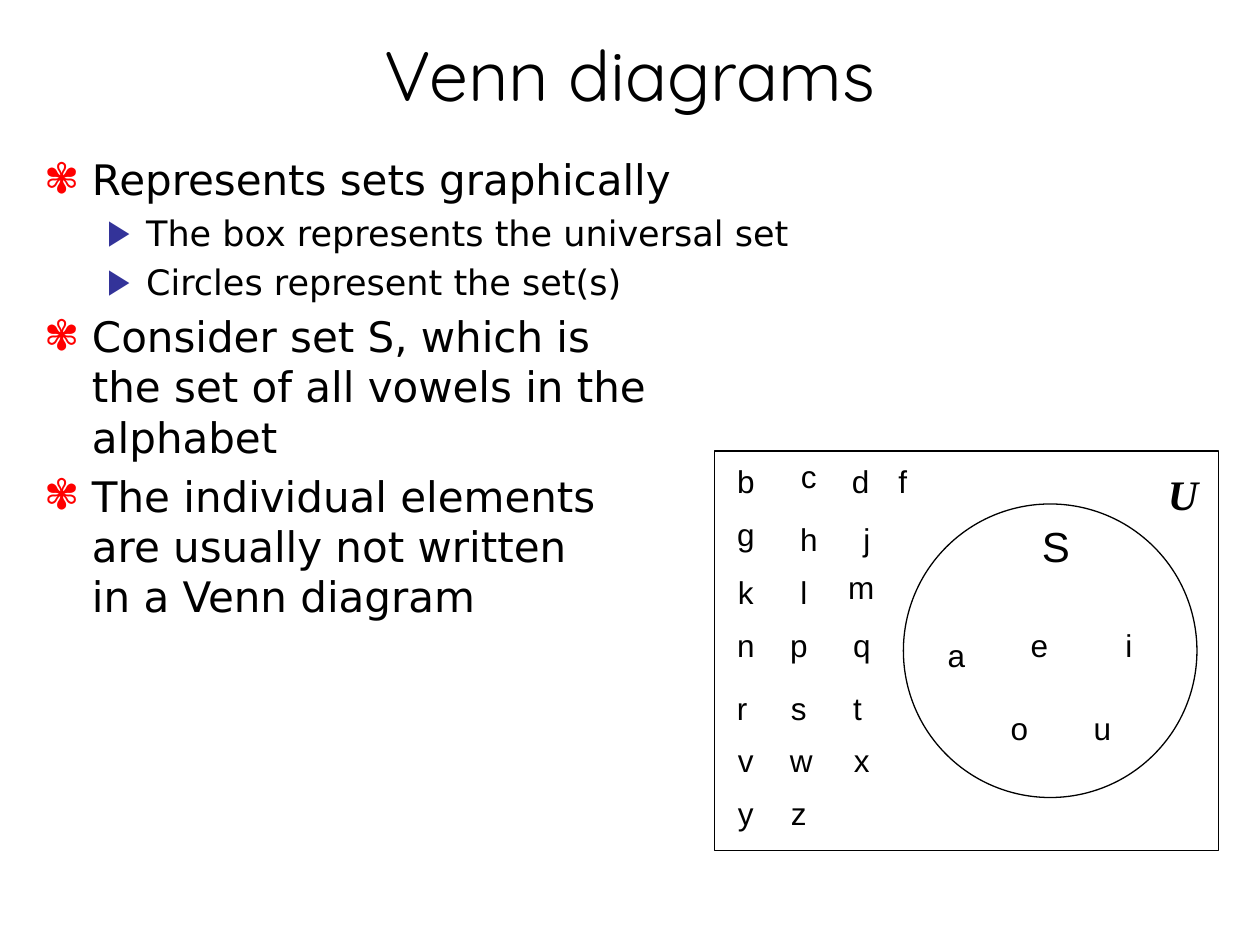
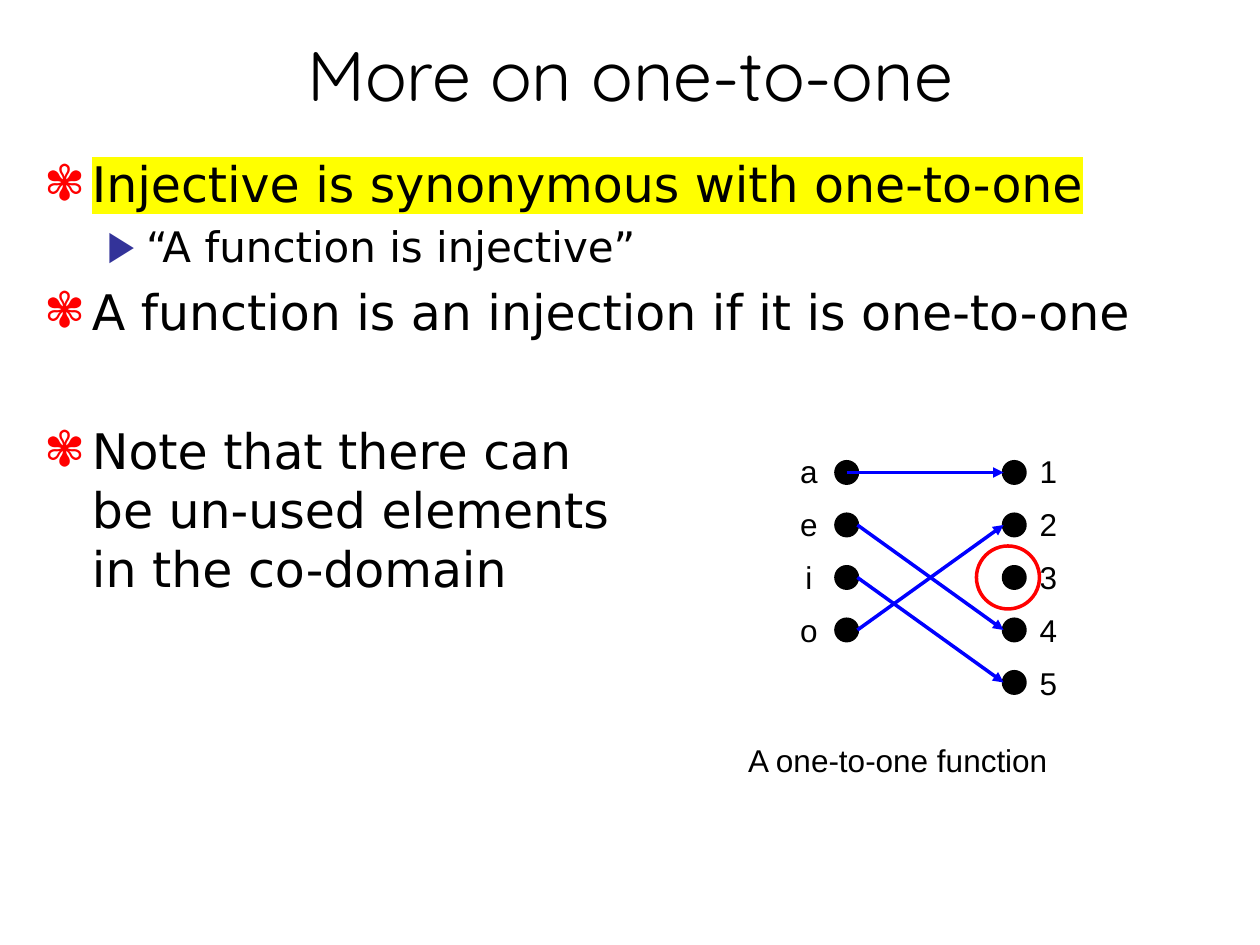
from lxml import etree
from pptx import Presentation
from pptx.dml.color import RGBColor
from pptx.enum.shapes import MSO_CONNECTOR, MSO_SHAPE
from pptx.enum.text import MSO_ANCHOR, MSO_AUTO_SIZE, PP_ALIGN
from pptx.oxml.ns import qn
from pptx.util import Inches, Pt

CENTER, LEFT = PP_ALIGN.CENTER, PP_ALIGN.LEFT
TOP, MIDDLE = MSO_ANCHOR.TOP, MSO_ANCHOR.MIDDLE
NO_FIT = MSO_AUTO_SIZE.NONE
OVAL, BOX = MSO_SHAPE.OVAL, MSO_SHAPE.RECTANGLE
STRAIGHT = MSO_CONNECTOR.STRAIGHT

COLORS = {"text": "000000", "flower": "FF0000", "triangle": "333399",
          "mark": "FFFF00", "arrow": "0000FF", "ring": "FF0000"}
TITLE_FONT, BODY_FONT, LABEL_FONT, SET_FONT = (
    "Quicksand", "DejaVu Sans", "Arial", "Times New Roman")
WIDTH, HEIGHT, MARGIN = 10, 7.5, 0.25
LEVELS = [("✾", "flower", 0.38, -0.38), ("▶", "triangle", 0.81, -0.31)]

VENN = {
    "title": "Venn diagrams",
    "sizes": (24, 20),
    "height": 5.61,
    "items": [
        (0, "Represents sets graphically", {}),
        (1, "The box represents the universal set", {}),
        (1, "Circles represent the set(s)", {}),
        (0, "Consider set S, which is\nthe set of all vowels in the\nalphabet", {}),
        (0, "The individual elements\nare usually not written\nin a Venn diagram", {}),
    ],
}
INJECTION = {
    "title": "More on one-to-one",
    "sizes": (28, 24),
    "height": 5.75,
    "items": [
        (0, "Injective is synonymous with one-to-one", {"mark": "mark"}),
        (1, "“A function is injective”", {}),
        (0, "A function is an injection if it is one-to-one", {}),
        (0, "Note that there can\nbe un-used elements\nin the co-domain", {"before": 46}),
    ],
}

LETTER_ROWS = [
    (3.58, {"c": 6.25}),
    (3.62, {"b": 5.75, "d": 6.66, "f": 7.03}),
    (4.04, {"g": 5.75}),
    (4.08, {"h": 6.25, "j": 6.75}),
    (4.46, {"m": 6.63}),
    (4.5, {"k": 5.75, "l": 6.25}),
    (4.92, {"n": 5.75, "p": 6.17, "q": 6.67, "e": 8.08, "i": 8.83}),
    (5, {"a": 7.42}),
    (5.42, {"r": 5.75, "s": 6.17, "t": 6.67}),
    (5.58, {"o": 7.92, "u": 8.58}),
    (5.83, {"v": 5.75, "w": 6.17, "x": 6.67}),
    (6.25, {"y": 5.75, "z": 6.17}),
]
LETTER_WIDTHS = {"i": 0.26, "j": 0.26, "l": 0.26, "f": 0.27, "t": 0.27,
                 "r": 0.28, "w": 0.38, "m": 0.41}
LETTER_WIDTH, LABEL_HEIGHT = 0.34, 0.4

DOMAIN, CODOMAIN = "aeio", "12345"
MAPPING = {"a": "1", "e": "4", "o": "2", "i": "5"}
UNUSED = "3"
DOMAIN_X, CODOMAIN_X, FIRST_Y, STEP = 6.72, 8.05, 3.75, 5 / 12
DOT, RING = 0.17, 0.5


def rgb(name):
    return RGBColor.from_string(COLORS[name])


def place(s, left, top, width, height):
    s.left, s.top, s.width, s.height = map(Inches, (left, top, width, height))


def add_run(p, text, size, font, mark=None, bold=None, italic=None):
    r = p.add_run()
    r.text = text
    f = r.font
    f.size, f.name, f.bold, f.italic = Pt(size), font, bold, italic
    f.color.rgb = rgb("text")
    if mark:
        rPr = r._r.get_or_add_rPr()
        hl = etree.Element(qn("a:highlight"))
        etree.SubElement(hl, qn("a:srgbClr"), val=COLORS[mark])
        rPr.find(qn("a:latin")).addprevious(hl)


def set_bullet(p, level):
    char, color, margin, indent = LEVELS[level]
    p.level = level
    pPr = p._p.get_or_add_pPr()
    pPr.set("marL", str(Inches(margin)))
    pPr.set("indent", str(Inches(indent)))
    clr = etree.SubElement(pPr, qn("a:buClr"))
    etree.SubElement(clr, qn("a:srgbClr"), val=COLORS[color])
    etree.SubElement(pPr, qn("a:buChar"), char=char)


def add_slide(prs, content):
    s = prs.slides.add_slide(prs.slide_layouts[1])
    title, body = s.shapes.title, s.placeholders[1]
    place(title, MARGIN, 0.17, WIDTH - 2 * MARGIN, 0.83)
    place(body, MARGIN, 1.17, WIDTH - 2 * MARGIN, content["height"])
    for sp, anchor in ((title, MIDDLE), (body, TOP)):
        sp.text_frame.auto_size = NO_FIT
        sp.text_frame.vertical_anchor = anchor
    p = title.text_frame.paragraphs[0]
    p.alignment = CENTER
    add_run(p, content["title"], 40, TITLE_FONT)

    tf = body.text_frame
    for i, (level, text, look) in enumerate(content["items"]):
        p = tf.add_paragraph() if i else tf.paragraphs[0]
        size = content["sizes"][level]
        p.alignment = LEFT
        p.space_before = Pt(look.get("before", 0.2 * size))
        set_bullet(p, level)
        for n, line in enumerate(text.split("\n")):
            if n:
                p.add_line_break()
            add_run(p, line, size, BODY_FONT, look.get("mark"))
    return s


def add_label(s, lines, left, top, width, height=LABEL_HEIGHT, size=18,
              font=LABEL_FONT, spacing=None, **style):
    sp = s.shapes.add_textbox(0, 0, 0, 0)
    place(sp, left, top, width, height)
    tf = sp.text_frame
    tf.word_wrap = False
    for i, line in enumerate(lines):
        p = tf.add_paragraph() if i else tf.paragraphs[0]
        p.alignment = CENTER
        p.line_spacing = spacing
        add_run(p, line, size, font, **style)


def add_outline(s, kind, left, top, width, height, color, weight, filled=False):
    sp = s.shapes.add_shape(kind, 0, 0, 0, 0)
    place(sp, left, top, width, height)
    sp.shadow.inherit = False
    sp.line.color.rgb = rgb(color)
    sp.line.width = Pt(weight)
    if filled:
        sp.fill.solid()
        sp.fill.fore_color.rgb = rgb(color)
    else:
        sp.fill.background()


def add_arrow(s, x1, y1, x2, y2):
    c = s.shapes.add_connector(STRAIGHT, *map(Inches, (x1, y1, x2, y2)))
    c.line.color.rgb = rgb("arrow")
    c.line.width = Pt(2)
    etree.SubElement(c.line._get_or_add_ln(), qn("a:tailEnd"), type="triangle")
    etree.SubElement(c._element.spPr, qn("a:effectLst"))


def draw_venn(s):
    for top, letters in LETTER_ROWS:
        for letter, left in letters.items():
            add_label(s, [letter], left, top,
                      LETTER_WIDTHS.get(letter, LETTER_WIDTH))
    add_outline(s, BOX, 5.67, 3.58, 4, 3.17, "text", 0.75)
    add_label(s, ["U"], 9.17, 3.67, 0.44, 0.5, 24, SET_FONT,
              bold=True, italic=True)
    add_outline(s, OVAL, 7.17, 4, 2.33, 2.33, "text", 0.75)
    add_label(s, ["S"], 8.17, 4.08, 0.42, 0.5, 24)


def draw_mapping(s):
    def row_y(members, member):
        return FIRST_Y + members.index(member) * STEP

    for members, x, label_x in ((DOMAIN, DOMAIN_X, 6.25),
                                (CODOMAIN, CODOMAIN_X, 8.15)):
        for member in members:
            add_outline(s, OVAL, x - DOT / 2, row_y(members, member) - DOT / 2,
                        DOT, DOT, "text", 2, filled=True)
        add_label(s, members, label_x, 3.42, LETTER_WIDTH, 2.2, spacing=1.4)
    for source, target in MAPPING.items():
        start = DOMAIN_X if source == DOMAIN[0] else DOMAIN_X + DOT / 2
        add_arrow(s, start, row_y(DOMAIN, source),
                  CODOMAIN_X - DOT / 2, row_y(CODOMAIN, target))
    add_label(s, ["A one-to-one function"], 5.83, 5.83, 2.59)
    add_outline(s, OVAL, 7.75, row_y(CODOMAIN, UNUSED) - RING / 2,
                RING, RING, "ring", 2)


def main():
    prs = Presentation()
    prs.slide_width, prs.slide_height = Inches(WIDTH), Inches(HEIGHT)
    draw_venn(add_slide(prs, VENN))
    draw_mapping(add_slide(prs, INJECTION))
    prs.save("out.pptx")


if __name__ == "__main__":
    main()
